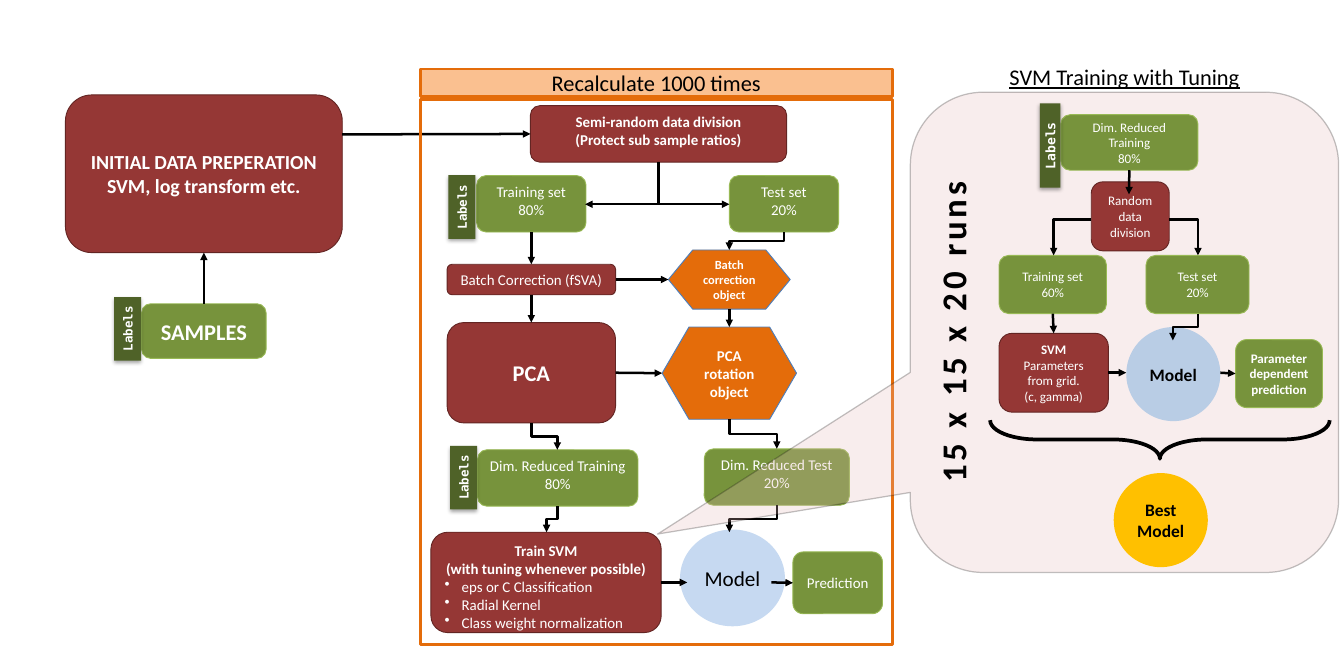
import dataclasses

import pptx
import pptx.dml.color
import pptx.enum.shapes
import pptx.enum.text
import pptx.oxml
import pptx.oxml.ns
import pptx.util

Inches = pptx.util.Inches
Kind = pptx.enum.shapes.MSO_SHAPE
Link = pptx.enum.shapes.MSO_CONNECTOR
Anchor = pptx.enum.text.MSO_ANCHOR
Align = pptx.enum.text.PP_ALIGN
qn = pptx.oxml.ns.qn
TOP, LEFT, BOTTOM, RIGHT = range(4)


@dataclasses.dataclass(frozen=True)
class Theme:
    font: str = "Calibri"
    mono: str = "DejaVu Sans Mono"
    black: str = "000000"
    white: str = "FFFFFF"
    red: str = "953735"
    red_edge: str = "632523"
    green: str = "77933C"
    green_edge: str = "98B955"
    label: str = "4F6228"
    orange: str = "E46C0A"
    orange_edge: str = "4B7EBC"
    banner: str = "FAC090"
    pink: str = "E6B9B8"
    pale_blue: str = "C6D9F1"
    blue: str = "B9CDE5"
    gold: str = "FFC000"
    runs: float = 28
    large: float = 18
    model: float = 17
    medium: float = 16
    strong: float = 14
    body: float = 12
    detail: float = 10.5
    small: float = 10


class Flow:
    """Draws flow chart elements in one style on the current slide."""

    def __init__(self, s, theme):
        self.s, self.t = s, theme

    def rgb(self, value):
        return pptx.dml.color.RGBColor.from_string(value)

    def child(self, parent, tag, **attrs):
        el = parent.makeelement(qn(tag), attrs)
        parent.append(el)
        return el

    def text(self, sp, text, size, bold=False, color=None, font=None, anchor=Anchor.MIDDLE):
        tf = sp.text_frame
        tf.word_wrap = True
        tf.vertical_anchor = anchor
        tf.text = text
        for p in tf.paragraphs:
            p.alignment = Align.CENTER
            p.font.name = font or self.t.font
            p.font.size = pptx.util.Pt(size)
            p.font.bold = bold
            p.font.color.rgb = self.rgb(color or self.t.white)

    def shape(self, kind, at, fill=None, edge=None, width=0.75):
        sp = self.s.shapes.add_shape(kind, *map(Inches, at))
        sp.shadow.inherit = False
        if fill:
            sp.fill.solid()
            sp.fill.fore_color.rgb = self.rgb(fill)
        else:
            sp.fill.background()
        if edge:
            sp.line.color.rgb = self.rgb(edge)
            sp.line.width = pptx.util.Pt(width)
        else:
            sp.line.fill.background()
        return sp

    def step(self, at, text, size=None, **style):
        sp = self.shape(Kind.FLOWCHART_ALTERNATE_PROCESS, at, self.t.red, self.t.red_edge)
        self.text(sp, text, size or self.t.body, **style)
        return sp

    def data(self, at, text, size=None, **style):
        sp = self.shape(Kind.FLOWCHART_ALTERNATE_PROCESS, at, self.t.green, self.t.green_edge)
        self.text(sp, text, size or self.t.body, **style)
        return sp

    def hexagon(self, at, text, size):
        sp = self.shape(Kind.FLOWCHART_PREPARATION, at, self.t.orange, self.t.orange_edge)
        self.text(sp, text, size, True)
        return sp

    def circle(self, at, fill, text, size, bold=True):
        self.text(self.shape(Kind.OVAL, at, fill), text, size, bold, self.t.black)

    def label(self, at, size):
        sp = self.shape(Kind.RECTANGLE, at, self.t.label)
        sp.rotation = 270
        self.text(sp, "Labels", size, True, font=self.t.mono)
        effects = sp._element.spPr.find(qn("a:effectLst"))
        shadow = self.child(effects, "a:outerShdw", blurRad="40000", dist="23000",
                            dir="5400000", rotWithShape="0")
        self.child(self.child(shadow, "a:srgbClr", val=self.t.black), "a:alpha", val="35000")

    def fade(self, sp, fill, line):
        """Sets the opacity of fill and line in percent."""
        colors = list(sp._element.spPr.iter(qn("a:srgbClr")))
        for clr, percent in zip(colors, (fill, line)):
            self.child(clr, "a:alpha", val=str(percent * 1000))

    def finish(self, c):
        c.line.color.rgb = self.rgb(self.t.black)
        c.line.width = pptx.util.Pt(2)
        spPr = c._element.spPr
        self.child(spPr.find(qn("a:ln")), "a:tailEnd", type="triangle")
        self.child(spPr, "a:effectLst")

    def arrow(self, start, end):
        """Straight arrow; each end is (x, y) or (shape, side)."""
        def joined(e):
            return not isinstance(e[0], (int, float))

        def point(e):
            if not joined(e):
                return Inches(e[0]), Inches(e[1])
            sp, side = e
            fx, fy = ((0.5, 0), (0, 0.5), (0.5, 1), (1, 0.5))[side]
            return int(sp.left + fx * sp.width), int(sp.top + fy * sp.height)

        c = self.s.shapes.add_connector(Link.STRAIGHT, *point(start), *point(end))
        if joined(start):
            c.begin_connect(*start)
        if joined(end):
            c.end_connect(*end)
        self.finish(c)

    def elbow(self, x1, y1, x2, y2, down=True, corner=False):
        """Bent arrow that leaves downwards, or sideways when down is False."""
        box = x1, y1, x2, y2
        if down:  # the frame of a downward elbow lies on its side
            cx, cy, w, h = (x1 + x2) / 2, (y1 + y2) / 2, y2 - y1, abs(x2 - x1)
            box = cx - w / 2, cy - h / 2, cx + w / 2, cy + h / 2
        c = self.s.shapes.add_connector(Link.ELBOW, *map(Inches, box))
        spPr = c._element.spPr
        if down:
            xfrm = spPr.find(qn("a:xfrm"))
            xfrm.set("rot", str((270 if x2 > x1 else 90) * 60000))
            if x2 > x1:
                xfrm.set("flipH", "1")
        if corner:
            spPr.find(qn("a:prstGeom")).set("prst", "bentConnector2")
        self.finish(c)

    def bullet(self, p):
        p.alignment = Align.LEFT
        pPr = p._p.get_or_add_pPr()
        pPr.set("marL", str(Inches(0.19)))
        pPr.set("indent", str(-Inches(0.19)))
        pPr.insert(0, pPr.makeelement(qn("a:buChar"), {"char": "•"}))


def draw_preparation(f, t):
    samples = f.data((1.58, 3.39, 1.39, 0.61), "SAMPLES", t.large, bold=True)
    initial = f.step((0.73, 1.06, 3.09, 1.76),
                     "INITIAL DATA PREPERATION\nSVM, log transform etc.", t.medium, bold=True)
    f.arrow((samples, TOP), (initial, BOTTOM))
    f.label((1.07, 3.52, 0.71, 0.3), t.small)


def draw_recalculation(f, t):
    # Boxes
    f.circle((7.59, 5.91, 1.17, 1.08), t.pale_blue, "Model", t.model, False)
    division = f.step((5.92, 1.18, 2.86, 0.63),
                      "Semi-random data division\n(Protect sub sample ratios)", bold=True, anchor=Anchor.TOP)
    training = f.data((5.32, 1.96, 1.22, 0.63), "Training set\v80%", anchor=Anchor.TOP)
    f.data((8.14, 1.96, 1.22, 0.63), "Test set\v20%", anchor=Anchor.TOP)
    batch = f.step((4.99, 2.95, 1.88, 0.34), "Batch Correction (fSVA)", anchor=Anchor.TOP)
    batch_object = f.hexagon((7.46, 2.79, 1.36, 0.66), "Batch\vcorrection object", t.small)
    pca = f.step((4.99, 3.6, 1.88, 1.12), "PCA", t.large, bold=True)
    rotation = f.hexagon((7.39, 3.65, 1.5, 1.03), "PCA\vrotation object", t.body)
    f.data((5.33, 5.02, 1.79, 0.63), "Dim. Reduced Training\v80%", anchor=Anchor.TOP)
    f.data((7.86, 5.01, 1.62, 0.63), "Dim. Reduced Test\n20%", anchor=Anchor.TOP)
    train = f.step((4.81, 5.94, 2.57, 1.12),
                   "Train SVM\v(with tuning whenever possible)\neps or C Classification\n"
                   "Radial Kernel\nClass weight normalization", bold=True, anchor=Anchor.TOP)
    for p in train.text_frame.paragraphs[1:]:
        p.font.bold = False
        f.bullet(p)
    prediction = f.data((8.85, 6.16, 1, 0.69), "Prediction")

    # Arrows
    for start, end in (((3.82, 1.5), (division, LEFT)),
                       ((training, BOTTOM), (batch, TOP)),
                       ((batch, BOTTOM), (pca, TOP)),
                       ((batch, RIGHT), (batch_object, LEFT)),
                       ((batch_object, BOTTOM), (rotation, TOP)),
                       ((pca, RIGHT), (rotation, LEFT)),
                       ((train, RIGHT), (7.67, 6.5)),
                       ((8.61, 6.5), (prediction, LEFT))):
        f.arrow(start, end)
    for x in (6.53, 8.14):
        f.elbow(7.35, 1.81, x, 2.28, corner=True)
    for ends in ((8.75, 2.59, 8.14, 2.79), (5.93, 4.72, 6.22, 5.02), (8.14, 4.68, 8.67, 5.01),
                 (6.22, 5.65, 6.1, 5.94), (8.67, 5.64, 8.14, 5.94)):
        f.elbow(*ends)

    # Frame, banner and labels
    f.shape(Kind.RECTANGLE, (4.69, 1.11, 5.27, 6.08), None, t.orange, 2.25)
    banner = f.shape(Kind.RECTANGLE, (4.69, 0.77, 5.27, 0.31), t.banner, t.orange, 2.25)
    f.text(banner, "Recalculate 1000 times", t.large, color=t.black)
    for x, y in ((4.8, 2.16), (4.82, 5.18)):
        f.label((x, y, 0.71, 0.3), t.small)


def draw_tuning(f, t):
    # Callout and title
    callout = f.shape(Kind.ROUNDED_RECTANGULAR_CALLOUT, (10.16, 1.03, 4.78, 5.36), t.pink, t.black, 1)
    for i, value in enumerate((-1.09, 0.42, 0.17)):
        callout.adjustments[i] = value
    f.fade(callout, 25, 24)
    f.text(callout, "15 x 15 x 20 runs", t.runs, True, t.black, anchor=Anchor.TOP)
    tf = callout.text_frame
    tf.margin_left = tf.margin_right = 0
    tf._txBody.bodyPr.set("vert", "vert270")
    tf.paragraphs[0].font._element.set("spc", "300")
    title = f.s.shapes.add_textbox(*map(Inches, (10.81, 0.66, 3.48, 0.4)))
    f.text(title, "SVM Training with Tuning", t.large, color=t.black, anchor=Anchor.TOP)
    title.text_frame.paragraphs[0].font.underline = True

    # Boxes
    reduced = f.data((11.84, 1.28, 1.53, 0.62), "Dim. Reduced Training\v80%", t.detail)
    f.label((11.25, 1.51, 0.94, 0.23), t.detail)
    f.step((12.18, 2.03, 0.87, 0.77), "Random data division", t.detail)
    f.circle((12.57, 3.65, 1.05, 1.05), t.blue, "Model", t.strong)
    training = f.data((11.15, 2.85, 1.2, 0.65), "Training set\v60%", t.detail)
    f.data((12.79, 2.85, 1.15, 0.65), "Test set\v20%", t.detail)
    svm = f.step((11.15, 3.72, 1.22, 0.88), "SVM\nParameters from grid.\v(c, gamma)", t.detail)
    svm.text_frame.paragraphs[0].font.bold = True
    prediction = f.data((13.79, 3.79, 0.97, 0.76), "Parameter dependent prediction", t.detail, bold=True)

    # Arrows
    f.arrow((reduced, BOTTOM), (12.6, 2.17))
    f.arrow((training, BOTTOM), (svm, TOP))
    f.arrow((svm, RIGHT), (12.57, 4.16))
    f.arrow((13.62, 4.16), (prediction, LEFT))
    f.elbow(13.05, 2.45, 13.37, 2.85, down=False, corner=True)
    f.elbow(12.18, 2.45, 11.76, 2.85, down=False, corner=True)
    f.elbow(13.37, 3.5, 13.09, 3.8)

    # Result
    brace = f.shape(Kind.RIGHT_BRACE, (12.73, 3.01, 0.43, 3.79), None, t.black, 3)
    brace.rotation = 90
    brace.adjustments[0] = 1.22
    f.circle((12.43, 5.28, 1.05, 1.05), t.gold, "Best\nModel", t.strong)


def main():
    prs = pptx.Presentation()
    prs.slide_width, prs.slide_height = Inches(15), Inches(7.5)
    theme = Theme()
    flow = Flow(prs.slides.add_slide(prs.slide_layouts[6]), theme)
    draw_preparation(flow, theme)
    draw_recalculation(flow, theme)
    draw_tuning(flow, theme)
    prs.save("out.pptx")


if __name__ == "__main__":
    main()
